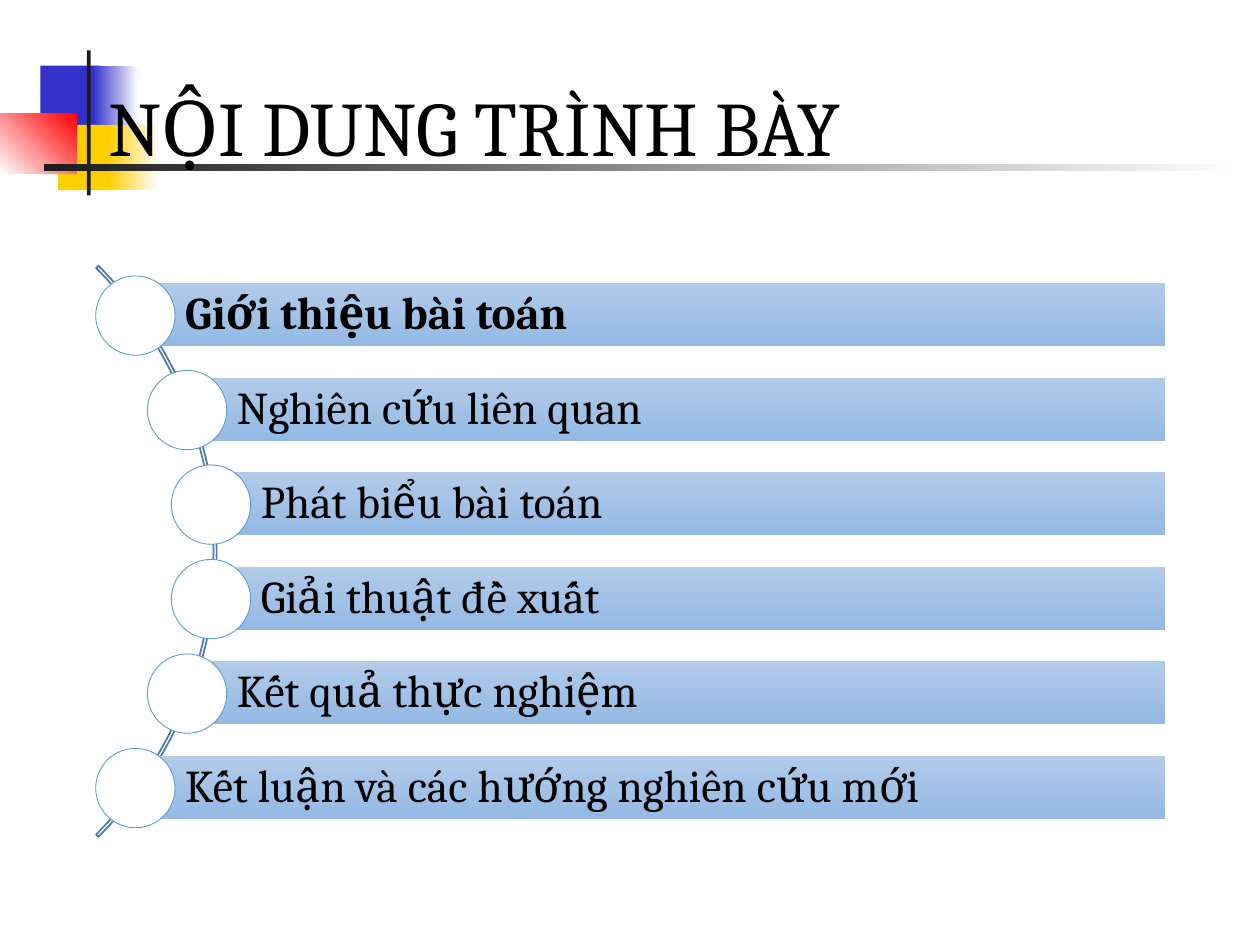
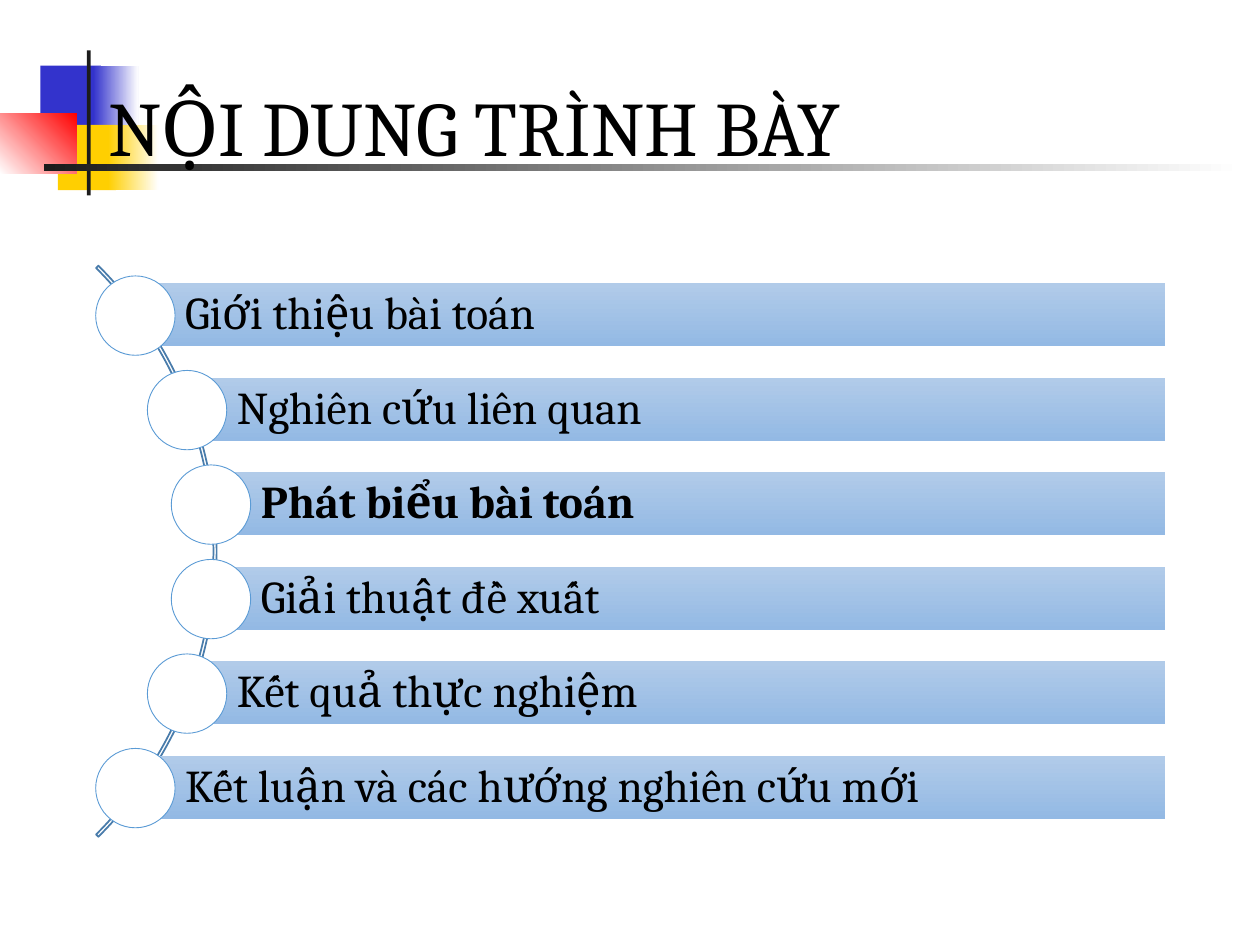
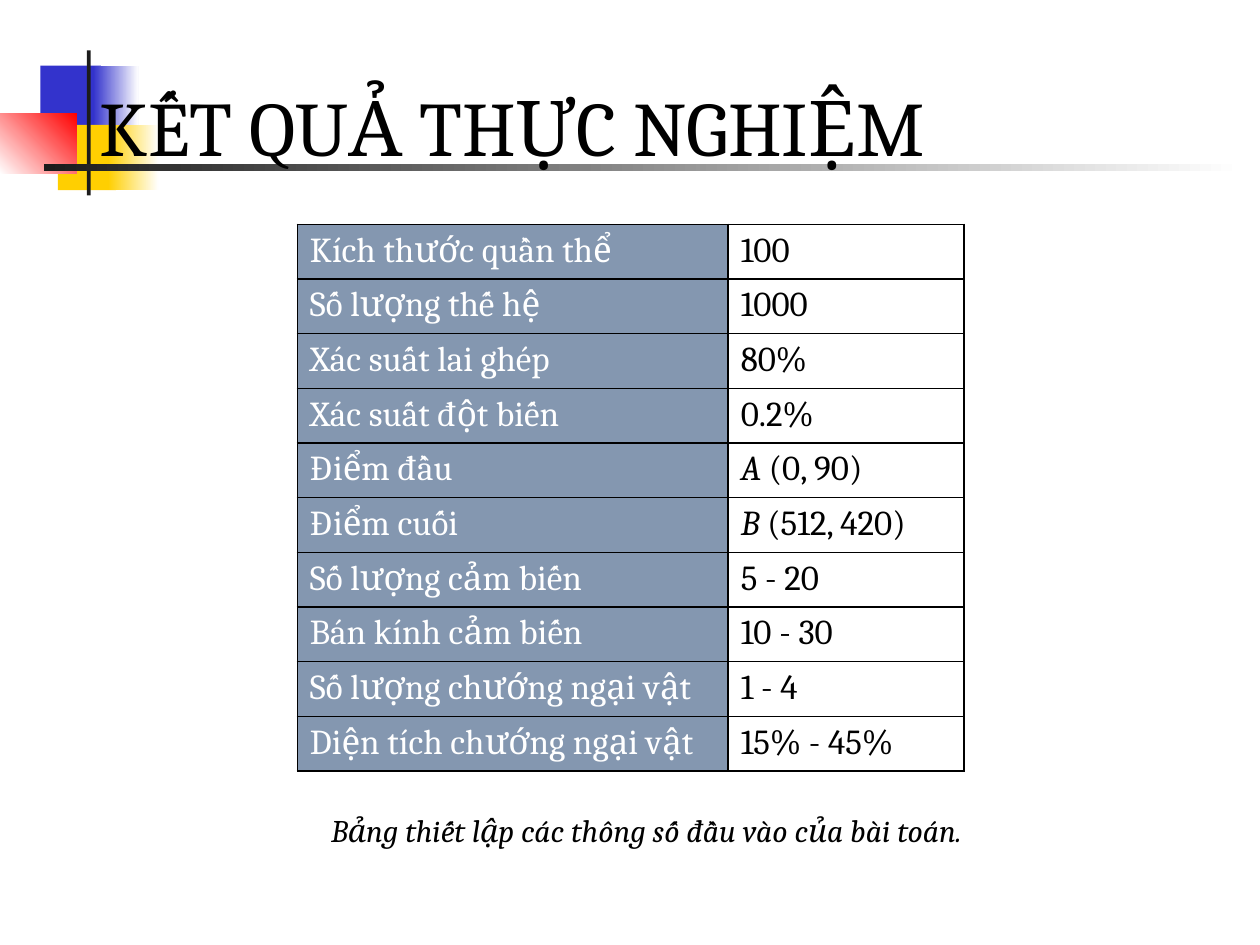
from dataclasses import dataclass

from lxml import etree
from pptx import Presentation
from pptx.dml.color import RGBColor
from pptx.enum.shapes import MSO_SHAPE
from pptx.enum.text import MSO_ANCHOR, MSO_AUTO_SIZE, PP_ALIGN
from pptx.oxml.ns import qn
from pptx.util import Pt

RECT, OVAL, BLOCK_ARC = MSO_SHAPE.RECTANGLE, MSO_SHAPE.OVAL, MSO_SHAPE.BLOCK_ARC
LEFT, CENTER = PP_ALIGN.LEFT, PP_ALIGN.CENTER
MIDDLE, TOP = MSO_ANCHOR.MIDDLE, MSO_ANCHOR.TOP
NO_AUTOSIZE = MSO_AUTO_SIZE.NONE

EMU_PER_PX = 9144
TITLE_ONLY = 5


@dataclass(frozen=True)
class Theme:
    font: str = "Cambria"
    ink: str = "000000"
    paper: str = "FFFFFF"
    blue: str = "3333CC"
    yellow: str = "FFCF01"
    red: str = "FF0000"
    rule: str = "1C1C1C"
    bar_top: str = "B1CBE9"
    bar_bottom: str = "93B9E4"
    ring: str = "5B9BD5"
    arc: str = "497CAB"
    label: str = "8497B0"
    title_size: int = 44
    agenda_size: int = 26
    table_size: int = 20
    caption_size: int = 18


T = Theme()

BANDS = [
    ((32, 52, 48, 52), T.blue),
    ((74, 52, 36, 52), (T.blue, T.paper, 0)),
    ((46, 99, 46, 52), T.yellow),
    ((86, 99, 40, 52), (T.yellow, T.paper, 0)),
    ((0, 90, 61, 48), (T.paper, T.red, 315)),
    ((69, 40, 3, 115), T.rule),
    ((35, 130, 951, 6), (T.rule, T.paper, 0)),
]

AGENDA = [
    ("Giới thiệu bài toán", 107),
    ("Nghiên cứu liên quan", 148),
    ("Phát biểu bài toán", 167),
    ("Giải thuật đề xuất", 167),
    ("Kết quả thực nghiệm", 148),
    ("Kết luận và các hướng nghiên cứu mới", 107),
]
AGENDA_TOP, AGENDA_PITCH, AGENDA_RIGHT = 225, 75, 925
BAR_HEIGHT, DOT_SIZE, DOT_DX, DOT_DY = 50, 63, -31, -6

PARAMETERS = [
    ("Kích thước quần thể", "", "100"),
    ("Số lượng thế hệ", "", "1000"),
    ("Xác suất lai ghép", "", "80%"),
    ("Xác suất đột biến", "", "0.2%"),
    ("Điểm đầu", "A ", "(0, 90)"),
    ("Điểm cuối", "B ", "(512, 420)"),
    ("Số lượng cảm biến", "", "5 - 20"),
    ("Bán kính cảm biến", "", "10 - 30"),
    ("Số lượng chướng ngại vật", "", "1 - 4"),
    ("Diện tích chướng ngại vật", "", "15% - 45%"),
]


def px(*values):
    return [v * EMU_PER_PX for v in values]


def apply(target, **values):
    for name, value in values.items():
        setattr(target, name, value)


def paint(fill, colour):
    if colour is None:
        fill.background()
    elif isinstance(colour, str):
        fill.solid()
        fill.fore_color.rgb = RGBColor.from_string(colour)
    else:
        *ends, angle = colour
        fill.gradient()
        fill.gradient_angle = (360 - angle) % 360
        for stop, end in zip(fill.gradient_stops, ends):
            stop.color.rgb = RGBColor.from_string(end)


def add_run(p, text, size, colour=T.ink, **style):
    r = p.add_run()
    r.text = text
    apply(r.font, name=T.font, size=Pt(size), **style)
    r.font.color.rgb = RGBColor.from_string(colour)


def set_frame(tf, anchor=MIDDLE, insets=(10, 5, 10, 5)):
    left, top, right, bottom = px(*insets)
    apply(tf, word_wrap=True, auto_size=NO_AUTOSIZE, vertical_anchor=anchor,
          margin_left=left, margin_top=top, margin_right=right, margin_bottom=bottom)
    return tf.paragraphs[0]


def add_shape(s, kind, box, fill, line=None, width=1):
    sp = s.shapes.add_shape(kind, *px(*box))
    sp.shadow.inherit = False
    paint(sp.fill, fill)
    paint(sp.line.fill, line)
    if line:
        sp.line.width = Pt(width)
    return sp


def add_bands(s, layout):
    for i, (box, fill) in enumerate(BANDS):
        element = add_shape(s, RECT, box, fill)._element
        element.nvSpPr.cNvPr.set("id", str(100 + i))
        layout.shapes._spTree.insert(2 + i, element)


def set_title(s, text, left):
    title = s.shapes.title
    left, top, width, height = px(left, 32, 862, 145)
    apply(title, left=left, top=top, width=width, height=height)
    p = set_frame(title.text_frame)
    apply(p, alignment=LEFT, line_spacing=0.9)
    add_run(p, text, T.title_size)


def add_agenda(s, current):
    arc = add_shape(s, BLOCK_ARC, (-469, 117, 641, 641), None, T.arc)
    for i, value in enumerate((189, 27, 0.004)):
        arc.adjustments[i] = value
    for i, (text, left) in enumerate(AGENDA):
        top = AGENDA_TOP + i * AGENDA_PITCH
        bar = add_shape(s, RECT, (left, top, AGENDA_RIGHT - left, BAR_HEIGHT),
                        (T.bar_top, T.bar_bottom, 90))
        p = set_frame(bar.text_frame, insets=(40, 7, 7, 7))
        apply(p, alignment=LEFT, line_spacing=0.9)
        add_run(p, text, T.agenda_size, bold=i == current)
        add_shape(s, OVAL, (left + DOT_DX, top + DOT_DY, DOT_SIZE, DOT_SIZE),
                  T.paper, T.ring, 0.5)


def set_borders(cell, colour, width):
    tc_pr = cell._tc.get_or_add_tcPr()
    for i, side in enumerate(("lnL", "lnR", "lnT", "lnB")):
        ln = etree.Element(qn(f"a:{side}"), w=str(Pt(width)))
        fill = etree.SubElement(ln, qn("a:solidFill"))
        etree.SubElement(fill, qn("a:srgbClr"), val=colour)
        tc_pr.insert(i, ln)


def add_parameter_table(s, box, widths):
    table = s.shapes.add_table(len(PARAMETERS), len(widths), *px(*box)).table
    apply(table, first_row=False, horz_banding=False)
    for column, width in zip(table.columns, px(*widths)):
        column.width = width
    for row, (name, point, value) in zip(table.rows, PARAMETERS):
        name_cell, value_cell = row.cells
        for cell, fill in ((name_cell, T.label), (value_cell, None)):
            paint(cell.fill, fill)
            set_borders(cell, T.ink, 1)
        add_run(name_cell.text_frame.paragraphs[0], name, T.table_size, T.paper)
        p = value_cell.text_frame.paragraphs[0]
        if point:
            add_run(p, point, T.table_size, italic=True)
        add_run(p, value, T.table_size)


def add_caption(s, text, box):
    p = set_frame(s.shapes.add_textbox(*px(*box)).text_frame, TOP)
    p.alignment = CENTER
    add_run(p, text, T.caption_size, italic=True)


def main():
    prs = Presentation()
    prs.slide_width, prs.slide_height = px(1000, 750)
    layout = prs.slide_layouts[TITLE_ONLY]
    intro, problem, results = [prs.slides.add_slide(layout) for _ in range(3)]
    add_bands(intro, layout)

    for s, current in ((intro, 0), (problem, 2)):
        set_title(s, "NỘI DUNG TRÌNH BÀY", 76)
        add_agenda(s, current)

    set_title(results, "KẾT QUẢ THỰC NGHIỆM", 69)
    add_parameter_table(results, (236, 178, 529, 434), (342, 187))
    add_caption(results, "Bảng thiết lập các thông số đầu vào của bài toán.",
                (112, 639, 802, 40))
    prs.save("out.pptx")


if __name__ == "__main__":
    main()
